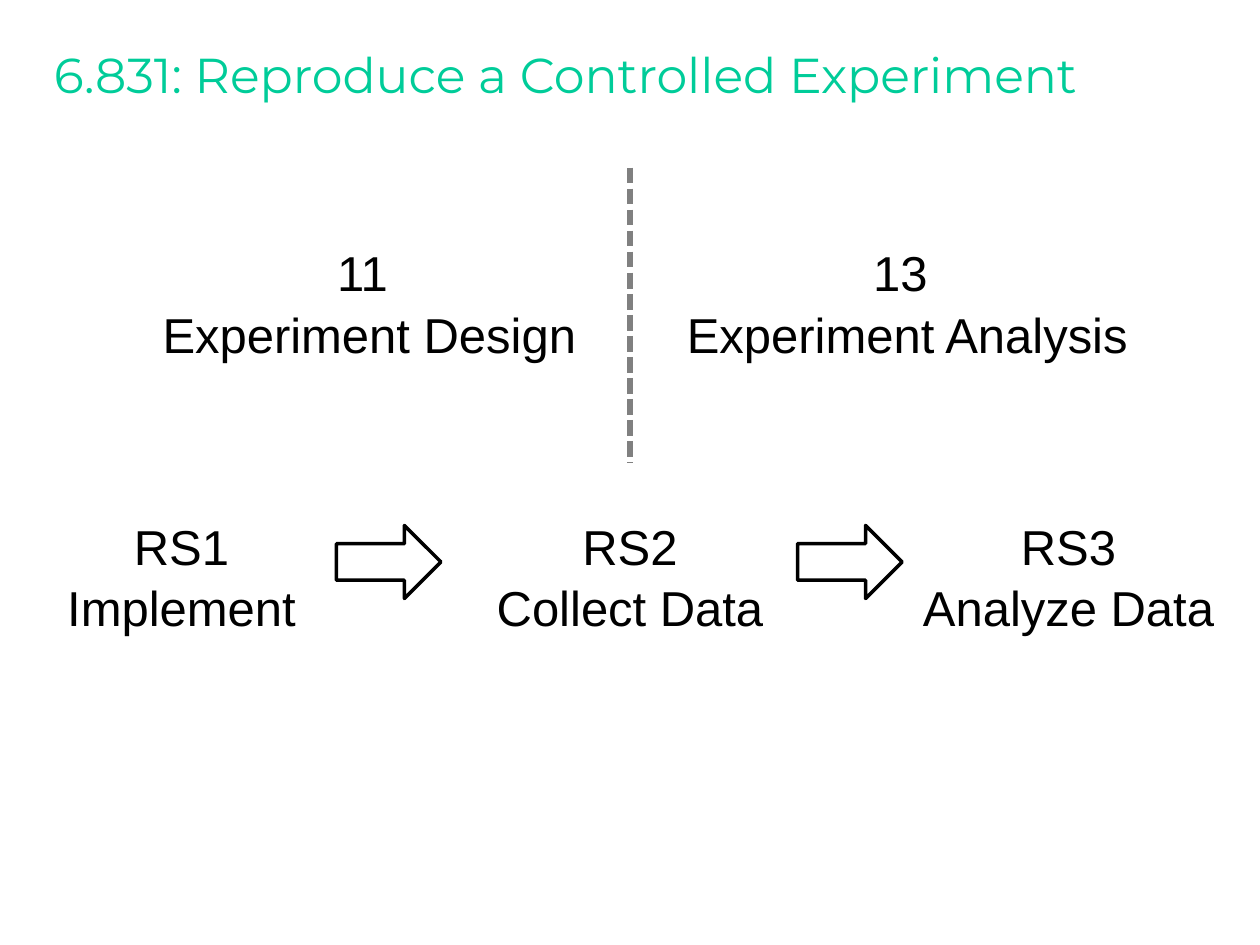
from pptx import Presentation
from pptx.dml.color import RGBColor
from pptx.enum.dml import MSO_LINE
from pptx.enum.shapes import MSO_CONNECTOR, MSO_SHAPE
from pptx.enum.text import MSO_ANCHOR, MSO_AUTO_SIZE, PP_ALIGN
from pptx.oxml.ns import qn
from pptx.util import Inches, Pt

COLORS = {
    "title": "00CC99",
    "text": "000000",
    "arrow": "FFFFFF",
    "outline": "000000",
    "divider": "808080",
}


def color(name):
    return RGBColor.from_string(COLORS[name])


def add_label(x, y, w, lines):
    sp = s.shapes.add_textbox(Inches(x), Inches(y), Inches(w), Inches(1.04))
    tf = sp.text_frame
    tf.word_wrap = False
    tf.auto_size = MSO_AUTO_SIZE.SHAPE_TO_FIT_TEXT
    tf.margin_top = Inches(0.08)
    tf.text = lines
    for p in tf.paragraphs:
        p.alignment = PP_ALIGN.CENTER
        p.line_spacing = 1.04
        p.font.name = "Arial"
        p.font.size = Pt(28)
        p.font.color.rgb = color("text")


prs = Presentation()
prs.slide_width, prs.slide_height = Inches(10), Inches(7.5)
s = prs.slides.add_slide(prs.slide_layouts[6])

# Title
sp = s.shapes.add_textbox(Inches(0.33), Inches(0.17), Inches(9.25), Inches(0.83))
tf = sp.text_frame
tf.word_wrap = True
tf.vertical_anchor = MSO_ANCHOR.MIDDLE
p = tf.paragraphs[0]
p.text = "6.831: Reproduce a Controlled Experiment"
p.font.name = "Montserrat"
p.font.size = Pt(28)
p.font.color.rgb = color("title")

# Assignments: one paragraph per line
for x, w, lines in [
    (0.42, 2.04, "RS1\nImplement"),
    (3.83, 2.34, "RS2\nCollect Data"),
    (7.21, 2.54, "RS3\nAnalyze Data"),
]:
    add_label(x, 4, w, lines)

# Arrows between assignments
for x in (2.67, 6.33):
    sp = s.shapes.add_shape(
        MSO_SHAPE.RIGHT_ARROW, Inches(x), Inches(4.17), Inches(0.83), Inches(0.58)
    )
    sp.shadow.inherit = False
    sp.fill.solid()
    sp.fill.fore_color.rgb = color("arrow")
    sp.line.color.rgb = color("outline")
    sp.line.width = Pt(2)

# Lectures: a line break inside one paragraph
for x, w, lines in [
    (1.17, 3.52, "11 \vExperiment Design"),
    (5.33, 3.74, "13 \vExperiment Analysis"),
]:
    add_label(x, 1.83, w, lines)

# Dashed divider between lectures
divider = s.shapes.add_connector(
    MSO_CONNECTOR.STRAIGHT, Inches(5), Inches(1.33), Inches(5), Inches(3.67)
)
divider.line.color.rgb = color("divider")
divider.line.width = Pt(3)
divider.line.dash_style = MSO_LINE.SQUARE_DOT
spPr = divider._element.spPr
spPr.append(spPr.makeelement(qn("a:effectLst"), {}))

prs.save("out.pptx")
